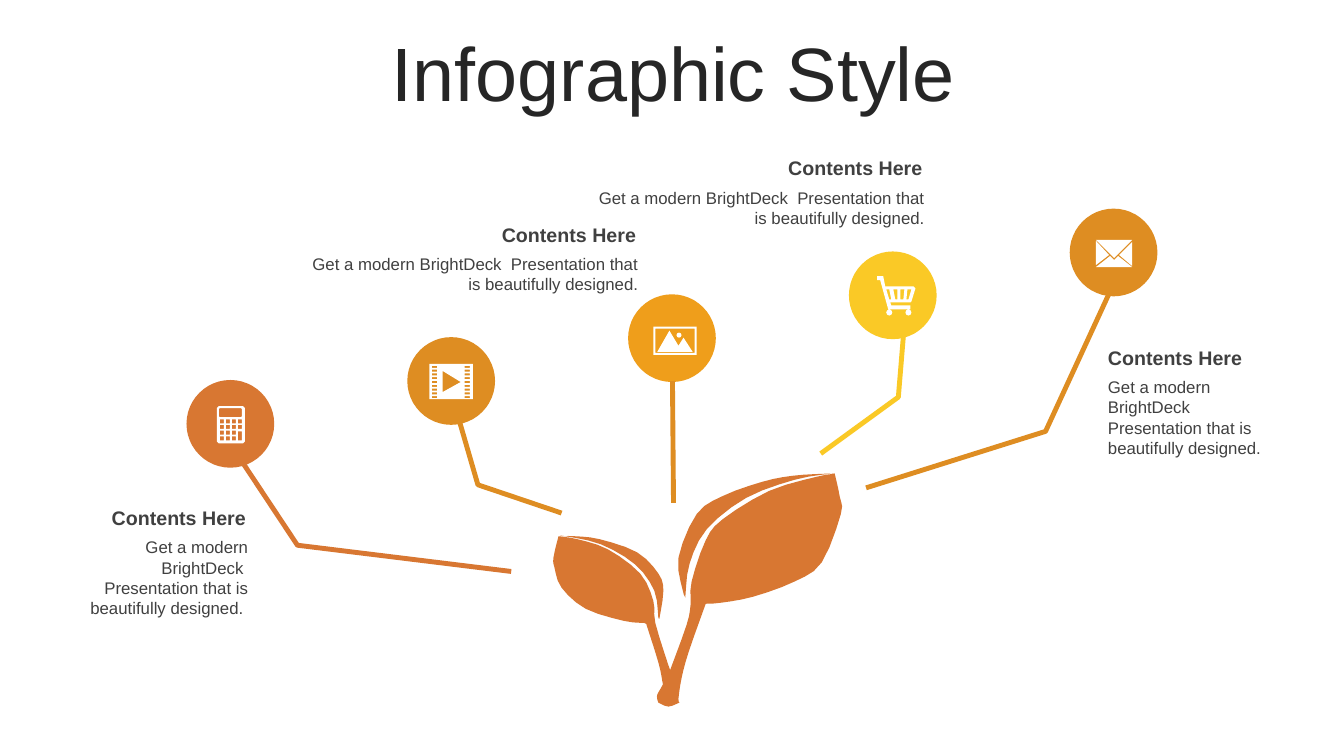
"""Build the Infographic Style slide: a seedling with five icon branches."""
from dataclasses import dataclass
from math import cos, pi, sin

from lxml import etree
from pptx import Presentation
from pptx.dml.color import RGBColor
from pptx.enum.shapes import MSO_CONNECTOR, MSO_SHAPE
from pptx.enum.text import MSO_ANCHOR, MSO_AUTO_SIZE, PP_ALIGN
from pptx.oxml.ns import qn
from pptx.util import Inches, Pt

LEFT, CENTER, RIGHT = PP_ALIGN.LEFT, PP_ALIGN.CENTER, PP_ALIGN.RIGHT
MIDDLE = MSO_ANCHOR.MIDDLE
NO_FIT, GROW = MSO_AUTO_SIZE.NONE, MSO_AUTO_SIZE.SHAPE_TO_FIT_TEXT
OVAL, STRAIGHT = MSO_SHAPE.OVAL, MSO_CONNECTOR.STRAIGHT

Point = tuple[float, float]
Contour = list[Point]


@dataclass(frozen=True)
class Theme:
    font: str = "Arial"
    title_size: float = 54
    heading_size: float = 14
    body_size: float = 12
    branch_width: float = 3.5
    title: str = "262626"
    text: str = "404040"
    icon: str = "FFFFFF"
    rust: str = "D87732"
    amber: str = "DE8D22"
    orange: str = "EF9E1B"
    yellow: str = "FAC926"


THEME = Theme()


@dataclass(frozen=True)
class Branch:
    badge_color: str
    line_color: str
    route: Contour
    icon: list[Contour]


@dataclass(frozen=True)
class Callout:
    left: float
    top: float
    width: float
    body_height: float
    align: PP_ALIGN
    body: str


def box(left: float, top: float, right: float, bottom: float) -> Contour:
    return [(left, top), (right, top), (right, bottom), (left, bottom)]


def disc(x: float, y: float, radius: float) -> Contour:
    return [(x + radius * cos(pi / 4 * step), y + radius * sin(pi / 4 * step)) for step in range(8)]


def chamfered(left: float, top: float, right: float, bottom: float, cut: float) -> Contour:
    return [(left + cut, top), (right - cut, top), (right, top + cut), (right, bottom - cut),
            (right - cut, bottom), (left + cut, bottom), (left, bottom - cut), (left, top + cut)]


def smooth(*runs: Contour) -> Contour:
    outline = []
    for run in runs:
        padded = [run[0], *run, run[-1]]
        for a, b, c, d in zip(padded, padded[1:], padded[2:], padded[3:]):
            for t in (0, 1 / 3, 2 / 3):
                outline.append(tuple(
                    q + t / 2 * (r - p + t * (2 * p - 5 * q + 4 * r - s + t * (3 * q - p - 3 * r + s)))
                    for p, q, r, s in zip(a, b, c, d)))
        outline.append(run[-1])
    return outline


KEYS = [box(x, y, x + 0.04, y + 0.04)
        for row in range(4) for column in range(4) if column < 3 or row < 2
        for x, y in [(2.18 + 0.06 * column, 4.16 + 0.17 / 3 * row)]]
CALCULATOR = [chamfered(2.15, 4.03, 2.43, 4.4, 0.02), chamfered(2.17, 4.05, 2.4, 4.14, 0.01),
              box(2.36, 4.28, 2.4, 4.37), *KEYS]
FILM = [box(4.26, 3.61, 4.69, 3.96), [(4.39, 3.68), (4.39, 3.89), (4.57, 3.79)],
        *(box(x, 3.63 + 0.3 / 8 * row, x + 0.05, 3.65 + 0.3 / 8 * row)
          for x in (4.285, 4.61) for row in range(9))]
LANDSCAPE = [box(6.48, 3.24, 6.91, 3.52), box(6.5, 3.26, 6.89, 3.5), disc(6.735, 3.325, 0.025),
             [(6.64, 3.28), (6.73, 3.43), (6.78, 3.35), (6.87, 3.49), (6.52, 3.49)]]
CART = [
    [(8.7, 2.74), (8.76, 2.74), (8.78, 2.84), (9.06, 2.84), (9.08, 2.86), (9.04, 2.99),
     (9.03, 3), (8.83, 3), (8.84, 3.03), (9.03, 3.03), (9.03, 3.07), (8.81, 3.07),
     (8.73, 2.78), (8.7, 2.78)],
    [(9, 2.87), (8.99, 2.97), (9.01, 2.97), (9.04, 2.87)],
    [(8.93, 2.87), (8.93, 2.97), (8.96, 2.97), (8.97, 2.87)],
    [(8.86, 2.87), (8.88, 2.97), (8.9, 2.97), (8.9, 2.87)],
    [(8.79, 2.87), (8.82, 2.97), (8.84, 2.97), (8.82, 2.87)],
    disc(8.82, 3.1, 0.03), disc(9.01, 3.1, 0.03)]
ENVELOPE = [
    [(11.09, 2.54), (11.23, 2.65), (10.87, 2.65), (11.01, 2.54), (11.05, 2.58)],
    [(11.23, 2.4), (11.23, 2.64), (11.1, 2.53)],
    [(10.87, 2.39), (11, 2.53), (10.87, 2.63)],
    [(10.87, 2.38), (11.23, 2.38), (11.05, 2.56)]]

BADGE_LEFT, BADGE_TOP, BADGE_SIZE = 1.85, 3.77, 0.87
BADGE_STEP, BADGE_RISE = 2.19, 1.7 / 4
BRANCHES = [
    Branch(THEME.rust, THEME.rust, [(5.07, 5.67), (2.95, 5.41), (2.42, 4.61)], CALCULATOR),
    Branch(THEME.amber, THEME.amber, [(5.57, 5.09), (4.74, 4.81), (4.56, 4.19)], FILM),
    Branch(THEME.orange, THEME.amber, [(6.67, 3.78), (6.68, 4.99)], LANDSCAPE),
    Branch(THEME.yellow, THEME.yellow, [(8.14, 4.5), (8.91, 3.94), (8.96, 3.33)], CART),
    Branch(THEME.amber, THEME.amber, [(8.59, 4.84), (10.37, 4.28), (11.02, 2.87)], ENVELOPE)]

BLURB = "Get a modern BrightDeck  Presentation that is beautifully designed."
CALLOUTS = [
    Callout(0.78, 4.97, 1.78, 0.91, RIGHT, BLURB + " "),
    Callout(3, 2.16, 3.43, 0.5, RIGHT, BLURB),
    Callout(5.84, 1.5, 3.43, 0.5, RIGHT, BLURB),
    Callout(10.89, 3.38, 1.78, 0.91, LEFT, BLURB)]

SEEDLING = [
    smooth(
        [(5.54, 5.32), (5.73, 5.35), (6.03, 5.45), (6.35, 5.69), (6.48, 5.96), (6.5, 6.18),
         (6.63, 6.6), (6.65, 6.64)],
        [(6.65, 6.64), (6.81, 6.2), (6.85, 6), (6.86, 5.77), (7, 5.36), (7.17, 5.15),
         (7.63, 4.87), (8.1, 4.73), (8.28, 4.7)],
        [(8.28, 4.7), (8.33, 4.93), (8.34, 5.1), (8.15, 5.58), (7.88, 5.77), (7.47, 5.92),
         (7.15, 5.98), (7, 5.99)],
        [(7, 5.99), (6.83, 6.47), (6.76, 6.73), (6.73, 6.93), (6.74, 6.97)],
        [(6.74, 6.97), (6.63, 7.01), (6.53, 6.97)],
        [(6.52, 6.94), (6.52, 6.89), (6.57, 6.8), (6.57, 6.76), (6.53, 6.57), (6.41, 6.19)],
        [(6.39, 6.18), (6.19, 6.16), (5.81, 6.04), (5.57, 5.83), (5.5, 5.63), (5.49, 5.53),
         (5.54, 5.32)]),
    smooth(
        [(8.28, 4.7), (8.23, 4.7), (7.88, 4.76), (7.4, 4.94), (7.01, 5.25), (6.84, 5.59),
         (6.8, 5.89), (6.8, 5.93)],
        [(6.8, 5.93), (6.77, 5.85), (6.73, 5.53), (6.91, 5.1), (7.17, 4.92), (7.56, 4.78),
         (7.86, 4.72), (8.17, 4.7), (8.28, 4.7)]),
    smooth(
        [(5.55, 5.32), (5.7, 5.32), (5.95, 5.35), (6.32, 5.48), (6.53, 5.69), (6.58, 5.86),
         (6.54, 6.14)],
        [(6.53, 6.13), (6.49, 5.86), (6.3, 5.6), (5.96, 5.4), (5.61, 5.32), (5.55, 5.32)])]


def paint(shape, color: str) -> None:
    shape.shadow.inherit = False
    shape.fill.solid()
    shape.fill.fore_color.rgb = RGBColor.from_string(color)
    shape.line.fill.background()


def outline(shapes, contours: list[Contour], close: bool = True):
    scaled = [[(Inches(x), Inches(y)) for x, y in contour] for contour in contours]
    builder = shapes.build_freeform(*scaled[0][0], scale=1.0)
    builder.add_line_segments(scaled[0][1:], close=close)
    for contour in scaled[1:]:
        builder.move_to(*contour[0])
        builder.add_line_segments(contour[1:], close=close)
    return builder.convert_to_shape()


def draw_route(shapes, branch: Branch) -> None:
    straight = len(branch.route) == 2
    if straight:
        ends = [Inches(value) for point in branch.route for value in point]
        stem = shapes.add_connector(STRAIGHT, *ends)
    else:
        stem = outline(shapes, [branch.route], close=False)
        stem.fill.background()
    stem.line.color.rgb = RGBColor.from_string(branch.line_color)
    stem.line.width = Pt(THEME.branch_width)
    if straight:
        etree.SubElement(stem._element.spPr, qn("a:effectLst"))
    else:
        stem.shadow.inherit = False


def write(shape, text: str, size: float, color: str, align: PP_ALIGN, bold: bool = False, **frame_format) -> None:
    frame = shape.text_frame
    frame.text = text
    paragraph = frame.paragraphs[0]
    paragraph.alignment = align
    paragraph.font.color.rgb = RGBColor.from_string(color)
    formats = [(frame, {"word_wrap": True, **frame_format}),
               (paragraph.font, {"name": THEME.font, "size": Pt(size), "bold": bold})]
    for target, values in formats:
        for attribute, value in values.items():
            setattr(target, attribute, value)


def draw_callout(shapes, callout: Callout) -> None:
    group = shapes.add_group_shape().shapes
    left, width = Inches(callout.left), Inches(callout.width)
    body = group.add_textbox(left, Inches(callout.top + 0.31), width, Inches(callout.body_height))
    write(body, callout.body, THEME.body_size, THEME.text, callout.align, auto_size=GROW)
    heading = group.add_textbox(left, Inches(callout.top), width, Inches(0.34))
    write(heading, "Contents Here", THEME.heading_size, THEME.text, callout.align, True,
          auto_size=GROW, margin_right=Inches(0.12))


def main() -> None:
    deck = Presentation()
    deck.slide_width, deck.slide_height = Inches(13.33), Inches(7.5)
    shapes = deck.slides.add_slide(deck.slide_layouts[5]).shapes

    title = shapes.title
    title.left, title.top, title.width, title.height = map(Inches, (0.35, 0.37, 12.66, 0.79))
    write(title, "Infographic Style", THEME.title_size, THEME.title, CENTER,
          auto_size=NO_FIT, vertical_anchor=MIDDLE)
    title.text_frame.paragraphs[0].line_spacing = 0.9

    for index, branch in enumerate(BRANCHES):
        badge = shapes.add_shape(
            OVAL, Inches(BADGE_LEFT + BADGE_STEP * index), Inches(BADGE_TOP - BADGE_RISE * index),
            Inches(BADGE_SIZE), Inches(BADGE_SIZE))
        paint(badge, branch.badge_color)
        paint(outline(shapes, branch.icon), THEME.icon)
        draw_route(shapes, branch)
    for callout in CALLOUTS:
        draw_callout(shapes, callout)
    seedling = shapes.add_group_shape().shapes
    for leaf in SEEDLING:
        paint(outline(seedling, [leaf]), THEME.rust)
    deck.save("out.pptx")


if __name__ == "__main__":
    main()
